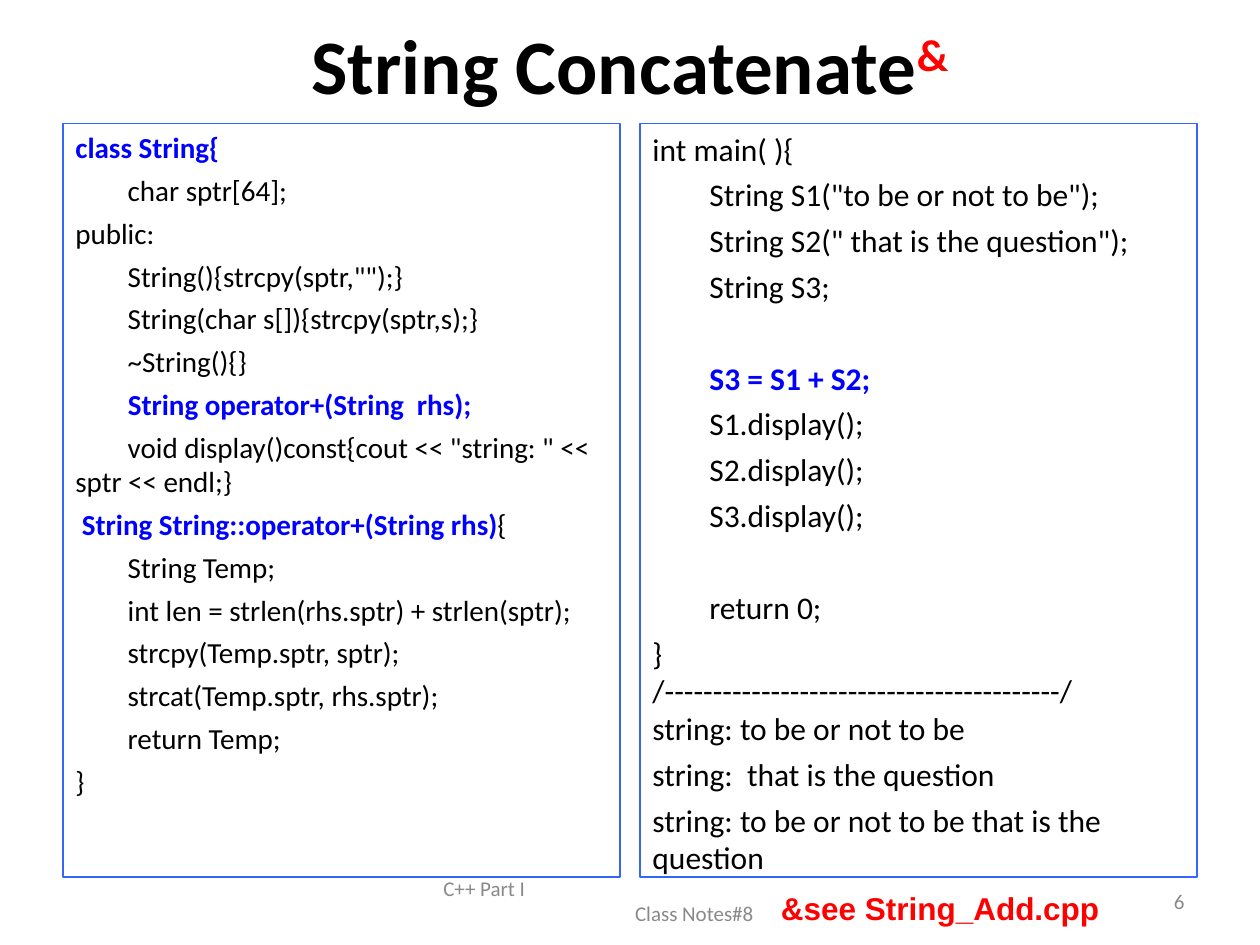
from pptx import Presentation
from pptx.dml.color import RGBColor
from pptx.enum.shapes import MSO_SHAPE
from pptx.enum.text import MSO_ANCHOR, PP_ALIGN
from pptx.util import Inches, Pt

BLACK = RGBColor(0, 0, 0)
BLUE = RGBColor(0, 0, 255)
RED = RGBColor(255, 0, 0)
GRAY = RGBColor(0x89, 0x89, 0x89)
EDGE = RGBColor(0x33, 0x66, 0xFF)

TAB = " " * 8
GAP = 4.5   # usual space before a line of code, in points
SKIP = 31   # space before a line that follows an empty line

# Each line is a list of (text, is key) parts and its space before.


def line(text, gap=GAP):
    return [(text, False)], gap


def key(lead, text, tail="", gap=GAP):
    return [(lead, False), (text, True), (tail, False)], gap


CLASS = [
    key("", "class String{"),
    line(TAB + "char sptr[64];"),
    line("public:"),
    line(TAB + 'String(){strcpy(sptr,"");}'),
    line(TAB + "String(char s[]){strcpy(sptr,s);}"),
    line(TAB + "~String(){}"),
    key(TAB, "String operator+(String  rhs);"),
    line(TAB + 'void display()const{cout << "string: " << sptr << endl;}'),
    key(" ", "String String::operator+(String rhs)", "{"),
    line(TAB + "String Temp;"),
    line(TAB + "int len = strlen(rhs.sptr) + strlen(sptr);"),
    line(TAB + "strcpy(Temp.sptr, sptr);"),
    line(TAB + "strcat(Temp.sptr, rhs.sptr);"),
    line(TAB + "return Temp;"),
    line("}"),
]

MAIN = [
    line("int main( ){"),
    line(TAB + 'String S1("to be or not to be");'),
    line(TAB + 'String S2(" that is the question");'),
    line(TAB + "String S3;"),
    key(TAB, "S3 = S1 + S2;", gap=SKIP),
    line(TAB + "S1.display();"),
    line(TAB + "S2.display();"),
    line(TAB + "S3.display();"),
    line(TAB + "return 0;", SKIP),
    line("}"),
    line("/-----------------------------------------/", 0),
    line("string: to be or not to be", 0),
    line("string:  that is the question"),
    line("string: to be or not to be that is the question"),
]


def style(font, size, color, bold=False, name="Calibri"):
    font.name, font.size, font.bold = name, Pt(size), bold
    font.color.rgb = color


def place(shape, x, y, w, h):
    shape.left, shape.top = Inches(x), Inches(y)
    shape.width, shape.height = Inches(w), Inches(h)


def add_title(slide, x, y, w, h):
    title = slide.shapes.title
    place(title, x, y, w, h)
    frame = title.text_frame
    frame.vertical_anchor = MSO_ANCHOR.MIDDLE
    para = frame.paragraphs[0]
    para.alignment = PP_ALIGN.CENTER
    style(para.font, 44, BLACK, True)
    para.add_run().text = "String Concatenate"
    mark = para.add_run()
    mark.text = "&"
    mark.font.color.rgb = RED
    mark.font._element.set("baseline", "30000")


def add_code(slide, x, y, w, h, lines, size):
    box = slide.shapes.add_shape(
        MSO_SHAPE.RECTANGLE, Inches(x), Inches(y), Inches(w), Inches(h))
    box.shadow.inherit = False
    box.fill.background()
    box.line.color.rgb = EDGE
    box.line.width = Pt(0.75)
    frame = box.text_frame
    frame.word_wrap = True
    frame.vertical_anchor = MSO_ANCHOR.TOP
    for i, (parts, gap) in enumerate(lines):
        para = frame.add_paragraph() if i else frame.paragraphs[0]
        para.alignment = PP_ALIGN.LEFT
        para.space_before = Pt(gap if i else 0)
        style(para.font, size, BLACK)
        for text, is_key in parts:
            if text:
                run = para.add_run()
                run.text = text
                style(run.font, size, BLUE if is_key else BLACK, is_key)


def add_text(slide, x, y, w, h, text, wrap=True):
    box = slide.shapes.add_textbox(
        Inches(x), Inches(y), Inches(w), Inches(h))
    frame = box.text_frame
    frame.word_wrap = wrap
    frame.text = text
    return frame


def add_footer(slide, x, y, w, h):
    notes = add_text(slide, x, y, 3.17, h, "C++ Part I\nClass Notes#8")
    page = add_text(slide, x + w - 2.33, y, 2.33, h, "6")
    for frame in (notes, page):
        frame.vertical_anchor = MSO_ANCHOR.MIDDLE
        for para in frame.paragraphs:
            style(para.font, 12, GRAY)
    notes.paragraphs[1].alignment = PP_ALIGN.RIGHT
    notes.margin_right = Inches(0.61)
    page.paragraphs[0].alignment = PP_ALIGN.RIGHT

    see = add_text(slide, x + 2.68, y + 0.06, 2.73, h,
                   "&see String_Add.cpp", wrap=False)
    style(see.paragraphs[0].font, 18, RED, True, "Arial")


def main():
    deck = Presentation()
    deck.slide_width, deck.slide_height = Inches(10), Inches(7.5)
    slide = deck.slides.add_slide(deck.slide_layouts[5])
    add_title(slide, 0.5, 0.03, 9, 0.95)
    for x, lines, size in ((0.5, CLASS, 16.6), (5.08, MAIN, 18)):
        add_code(slide, x, 0.98, 4.42, 5.98, lines, size)
    add_footer(slide, 3.42, 6.95, 6.08, 0.4)
    deck.save("out.pptx")


if __name__ == "__main__":
    main()
